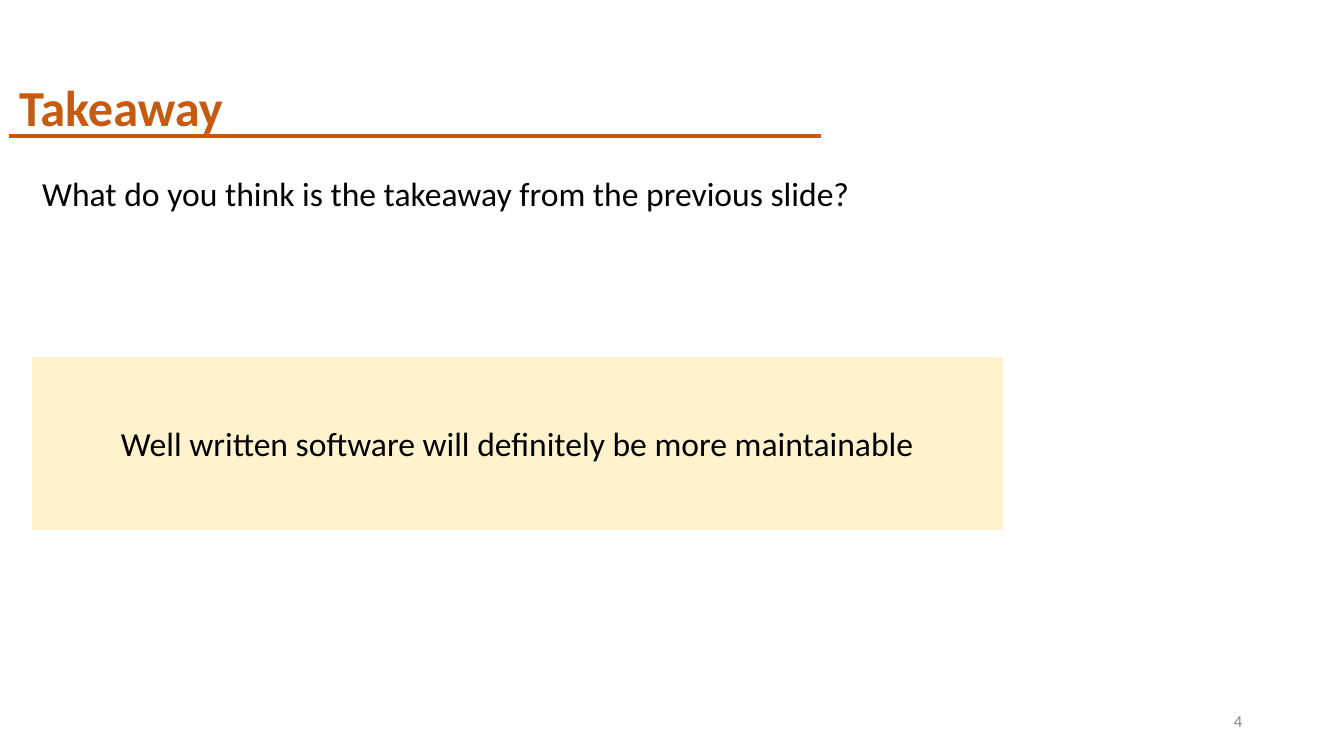
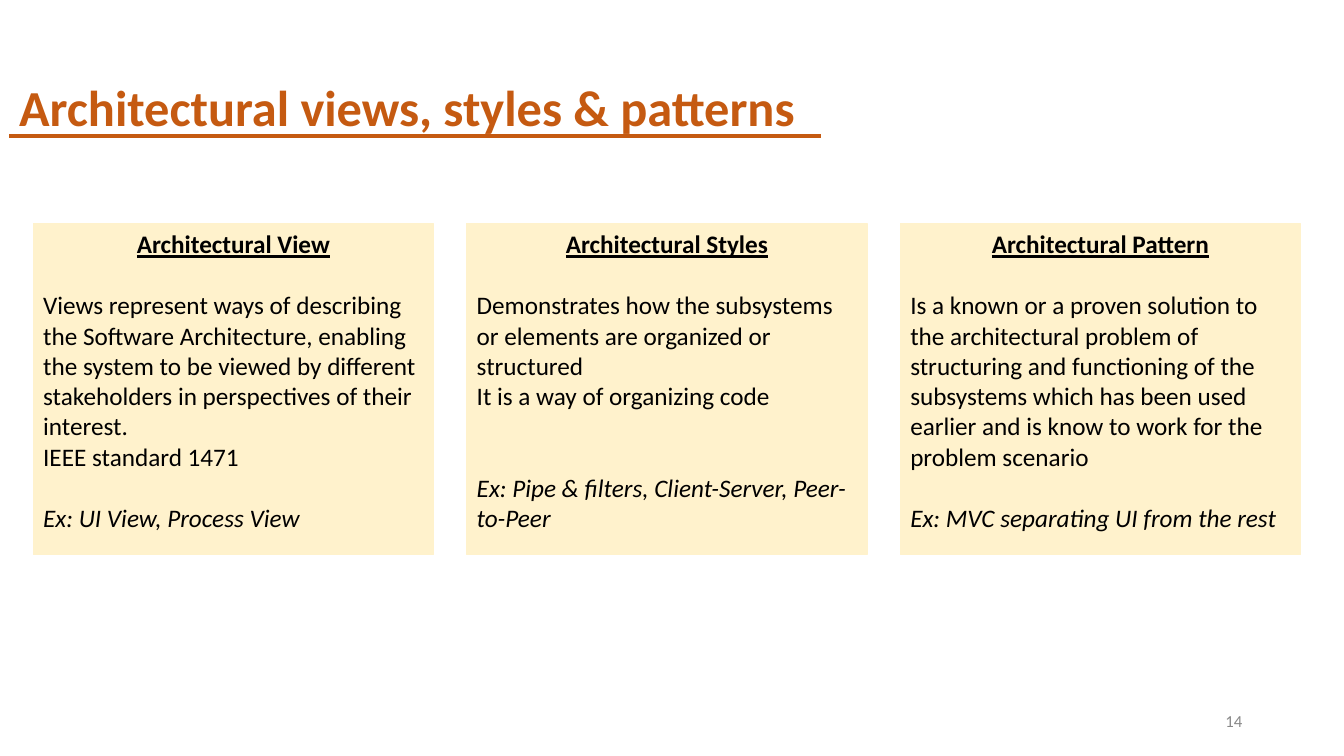
from pptx import Presentation
from pptx.dml.color import RGBColor
from pptx.enum.shapes import MSO_CONNECTOR, MSO_SHAPE
from pptx.enum.text import MSO_ANCHOR, MSO_AUTO_SIZE, PP_ALIGN
from pptx.oxml.ns import qn
from pptx.util import Inches, Pt
from lxml.etree import SubElement

ORANGE = RGBColor(0xC5, 0x5A, 0x11)
CREAM = RGBColor(0xFF, 0xF2, 0xCC)
BLACK = RGBColor(0, 0, 0)
GRAY = RGBColor(0x88, 0x88, 0x88)
FONT = "Calibri"
LINE_GAP = 22

CARDS = [
    ("Architectural View",
     ["Views represent ways of describing the Software Architecture, enabling the system "
      "to be viewed by different stakeholders in perspectives of their interest.",
      "IEEE standard 1471"],
     "Ex: UI View, Process View", 1),
    ("Architectural Styles",
     ["Demonstrates how the subsystems or elements are organized or structured",
      "It is a way of organizing code"],
     "Ex: Pipe & filters, Client-Server, Peer-to-Peer", 2),
    ("Architectural Pattern",
     ["Is a known or a proven solution to the architectural problem of structuring and "
      "functioning of the subsystems which has been used earlier and is know to work for "
      "the problem scenario"],
     "Ex: MVC separating UI from the rest", 1),
]


def format_paragraph(p, size, color=BLACK, align=PP_ALIGN.LEFT, bold=False,
                     italic=False, underline=False, gap=0):
    """Set the alignment, space before and font of a paragraph."""
    p.alignment = align
    p.space_before = Pt(gap)
    for r in p.runs:
        r.font.name = FONT
        r.font.size = Pt(size)
        r.font.color.rgb = color
        r.font.bold = bold
        r.font.italic = italic
        r.font.underline = underline


def add_text(slide, x, y, w, h, text, size, color=BLACK, align=PP_ALIGN.LEFT,
             anchor=MSO_ANCHOR.TOP):
    """Add a wrapped one-paragraph text box."""
    tf = slide.shapes.add_textbox(Inches(x), Inches(y), Inches(w), Inches(h)).text_frame
    tf.word_wrap = True
    tf.vertical_anchor = anchor
    tf.text = text
    format_paragraph(tf.paragraphs[0], size, color, align)


def add_panel(slide, x, y, w, h, anchor):
    """Add a cream rectangle and return its text frame."""
    sp = slide.shapes.add_shape(MSO_SHAPE.RECTANGLE, Inches(x), Inches(y),
                                Inches(w), Inches(h))
    sp.shadow.inherit = False
    sp.fill.solid()
    sp.fill.fore_color.rgb = CREAM
    sp.line.color.rgb = CREAM
    sp.line.width = Pt(1)
    tf = sp.text_frame
    tf.word_wrap = True
    tf.vertical_anchor = anchor
    return tf


def add_card(slide, x, y, w, h, heading, body, example, blank_lines):
    """Add a panel with a heading, body paragraphs and an example."""
    tf = add_panel(slide, x, y, w, h, MSO_ANCHOR.TOP)
    tf.text = "\n".join([heading, *body, example])
    first, *middle, last = tf.paragraphs
    format_paragraph(first, 18, align=PP_ALIGN.CENTER, bold=True, underline=True)
    for i, p in enumerate(middle):
        format_paragraph(p, 18, gap=0 if i else LINE_GAP)
    format_paragraph(last, 18, italic=True, gap=blank_lines * LINE_GAP)


def add_base_slide(prs, title, number):
    """Add a slide with its title, title rule and page number."""
    s = prs.slides.add_slide(prs.slide_layouts[5])
    sp = s.shapes.title
    sp.left, sp.top, sp.width, sp.height = (Inches(v) for v in (0.09, 0.71, 7.97, 0.5))
    tf = sp.text_frame
    tf.text = title
    tf.word_wrap = True
    tf.auto_size = MSO_AUTO_SIZE.NONE
    tf.vertical_anchor = MSO_ANCHOR.TOP
    format_paragraph(tf.paragraphs[0], 36, ORANGE, bold=True)
    rule = s.shapes.add_connector(MSO_CONNECTOR.STRAIGHT, Inches(0.09), Inches(1.35),
                                  Inches(8.14), Inches(1.35))
    rule.line.color.rgb = ORANGE
    rule.line.width = Pt(3)
    SubElement(rule._element.spPr, qn("a:effectLst"))
    add_text(s, 9.42, 6.95, 3, 0.4, str(number), 12, GRAY, PP_ALIGN.RIGHT,
             MSO_ANCHOR.MIDDLE)
    return s


def build_takeaway(prs):
    """Build the slide with a question and its answer panel."""
    s = add_base_slide(prs, "Takeaway", 4)
    tf = add_panel(s, 0.32, 3.55, 9.62, 1.7, MSO_ANCHOR.MIDDLE)
    tf.text = "Well written software will definitely be more maintainable"
    format_paragraph(tf.paragraphs[0], 24, align=PP_ALIGN.CENTER)
    add_text(s, 0.32, 1.67, 8.84, 0.5,
             "What do you think is the takeaway from the previous slide?", 24)


def build_comparison(prs):
    """Build the slide with three equal cards in a row."""
    s = add_base_slide(prs, "Architectural views, styles & patterns", 14)
    left, top, width, height, gap = 0.33, 2.22, 3.97, 3.28, 0.33
    for i, card in enumerate(CARDS):
        add_card(s, left + i * (width + gap), top, width, height, *card)


def main():
    """Build and save the presentation."""
    prs = Presentation()
    prs.slide_width = Inches(13.33)
    prs.slide_height = Inches(7.5)
    build_takeaway(prs)
    build_comparison(prs)
    prs.save("out.pptx")


if __name__ == "__main__":
    main()
